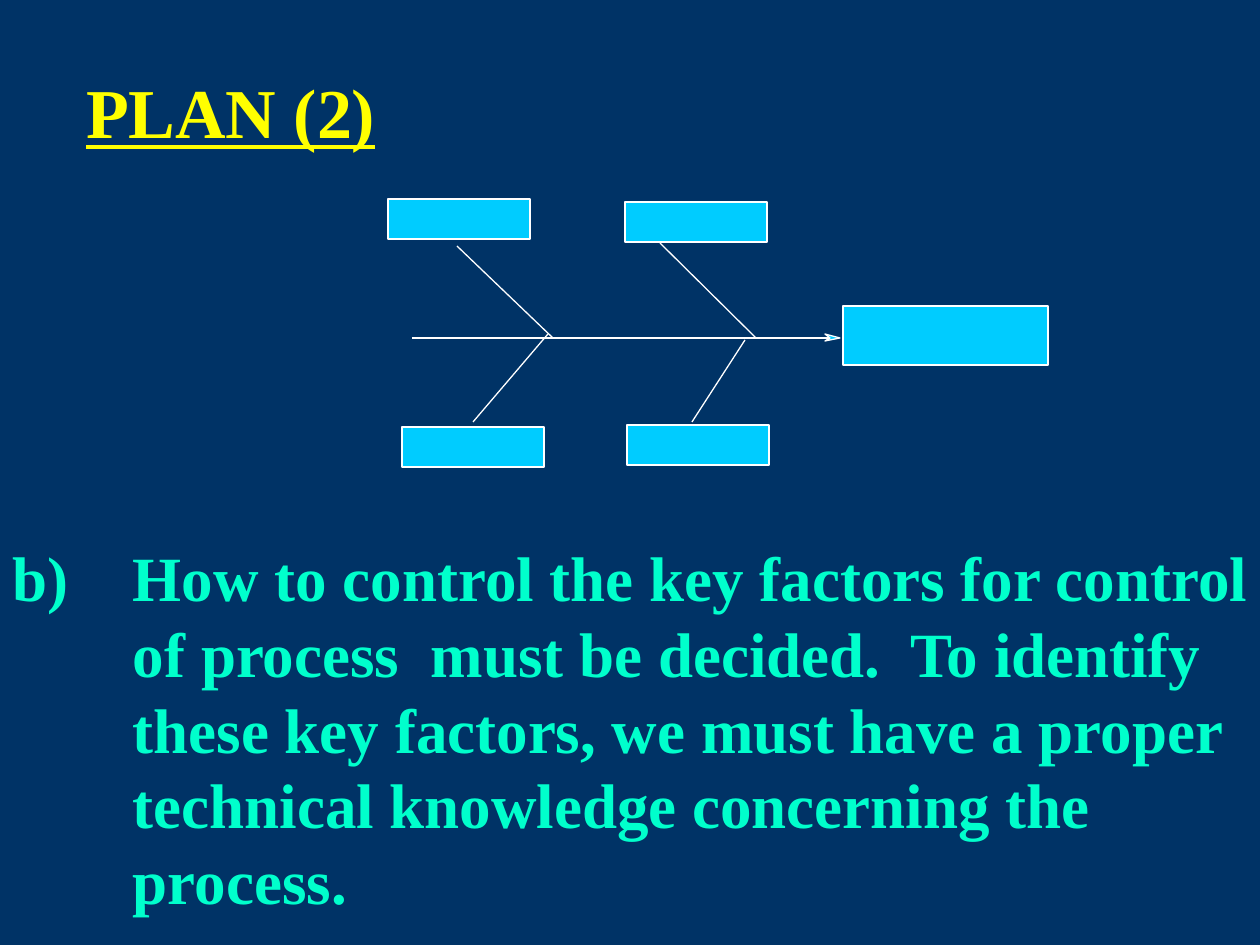
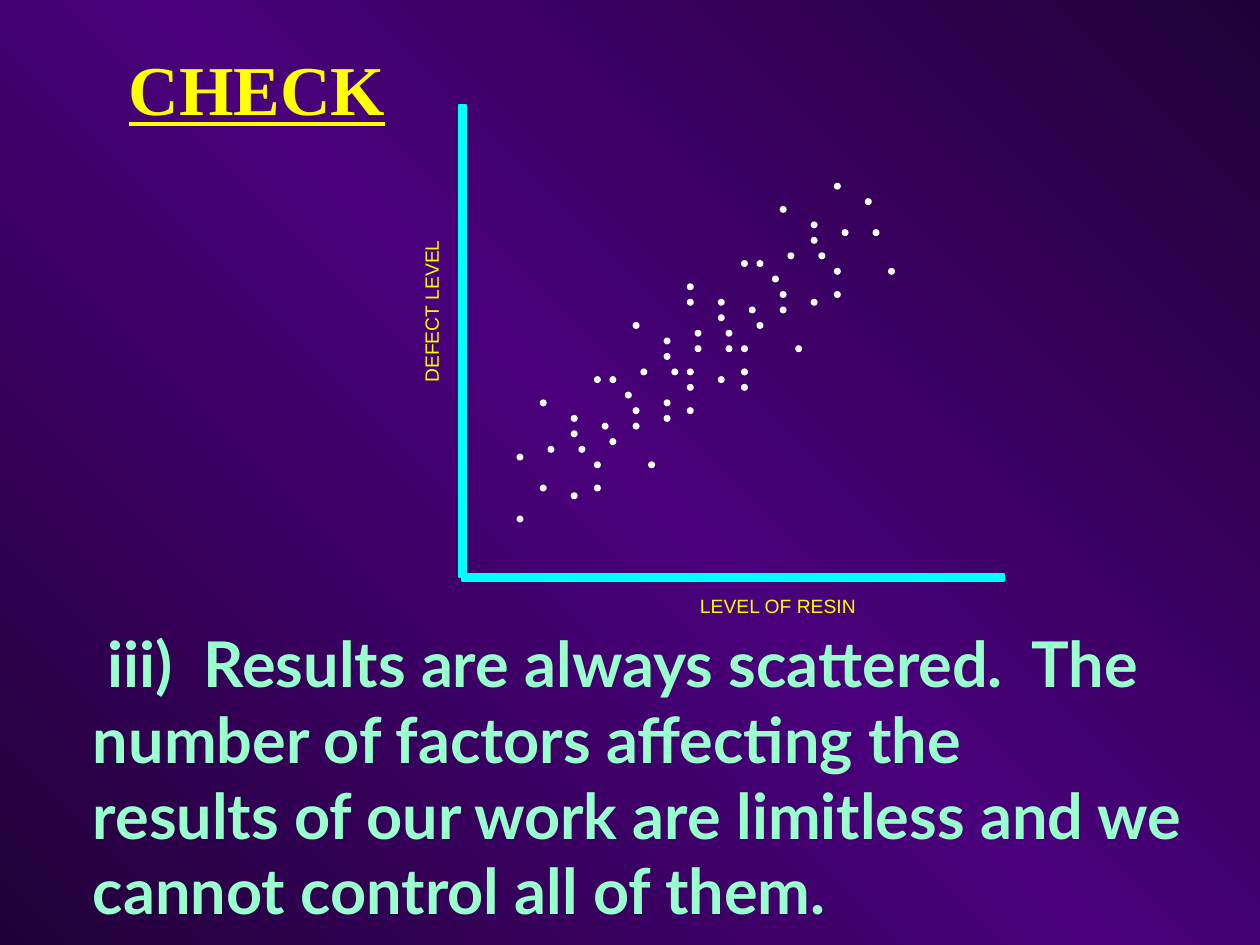
import copy

import pptx
import pptx.dml.color
import pptx.enum.shapes
import pptx.enum.text
import pptx.oxml.ns
import pptx.util
from lxml import etree

PX = 914400 / 126
NAVY, PURPLE, DARK_PURPLE = "003366", "49007A", "210038"
YELLOW, WHITE, SKY, CYAN = "FFFF00", "FFFFFF", "00CCFF", "00FFFF"
SERIF, SANS, LABEL_FONT = "Times New Roman", "Lato", "Arial"
TITLE = dict(font=SERIF, size=40, color=YELLOW, bold=True, underline=True)
AXIS_LABEL = dict(font=LABEL_FONT, size=11, color=YELLOW, wrap=False,
                  insets=(0, 0, 0, 0), align=pptx.enum.text.PP_ALIGN.CENTER)

rgb = pptx.dml.color.RGBColor.from_string
qn = pptx.oxml.ns.qn
preset = pptx.enum.shapes.MSO_SHAPE


def add_text(page, frame, text, *, font, size, color, bold=False, underline=False,
             align=None, wrap=True, insets=(13, 6, 13, 6), margin=0, indent=0, rotation=0):
    """Add a text box; frame is left, top, width, height in px."""
    box = page.shapes.add_textbox(*(round(length * PX) for length in frame))
    box.rotation = rotation
    body = box.text_frame
    body.word_wrap = wrap
    body.margin_left, body.margin_top, body.margin_right, body.margin_bottom = (
        round(inset * PX) for inset in insets)
    para = body.paragraphs[0]
    para.text = text
    para.alignment = align
    properties = para._p.get_or_add_pPr()
    properties.set("marL", str(round(margin * PX)))
    properties.set("indent", str(round(indent * PX)))
    for span in para.runs:
        span.font.name = font
        span.font.size = pptx.util.Pt(size)
        span.font.bold = bold
        span.font.underline = underline
        span.font.color.rgb = rgb(color)


def paint(shape, fill, line, width=0.75):
    shape.shadow.inherit = False
    shape.fill.solid()
    shape.fill.fore_color.rgb = rgb(fill)
    shape.line.color.rgb = rgb(line)
    shape.line.width = pptx.util.Pt(width)


deck = pptx.Presentation()
deck.slide_width = round(1260 * PX)
deck.slide_height = round(945 * PX)
blank = deck.slide_layouts[6]

# Slide 1: fishbone diagram
page = deck.slides.add_slide(blank)
page.background.fill.solid()
page.background.fill.fore_color.rgb = rgb(NAVY)

add_text(page, (0, 533, 1260, 391),
         "b)\tHow to control the key factors for control of process  must be decided.  "
         "To identify these key factors, we must have a proper technical knowledge "
         "concerning the process.",
         font=SERIF, size=36, color="00FFCC", bold=True,
         insets=(13, 6, 0, 6), margin=120, indent=-120)

effect = (843, 306, 205, 59)
causes = [(left, top, 142, 40) for left, top in ((388, 199), (625, 202), (402, 427), (627, 425))]
for frame in [effect, *causes]:
    box = page.shapes.add_shape(preset.RECTANGLE, *(round(length * PX) for length in frame))
    paint(box, SKY, WHITE)

spine = (412, 338, 830, 338)
bones = [(457, 246, 553, 338), (660, 243, 756, 338), (473, 422, 548, 334), (692, 422, 745, 340)]
for ends in [spine, *bones]:
    line = page.shapes.add_connector(pptx.enum.shapes.MSO_CONNECTOR.STRAIGHT,
                                     *(round(length * PX) for length in ends))
    line.line.color.rgb = rgb(WHITE)
    line.line.width = pptx.util.Pt(0.75)
    etree.SubElement(line._element.spPr, qn("a:effectLst"))

outline = page.shapes.build_freeform(825, 341, scale=PX)
outline.add_line_segments([(840, 338), (825, 334), (830, 338)], close=True)
paint(outline.convert_to_shape(), SKY, WHITE)

add_text(page, (73, 63, 473, 97), "PLAN (2)", **TITLE)

# Slide 2: scatter diagram
page = deck.slides.add_slide(blank)
backdrop = page.background.fill
backdrop.gradient()
backdrop.gradient_angle = 225
first_stop = backdrop.gradient_stops[0]._gs
first_stop.addnext(copy.deepcopy(first_stop))
stops = page.background._cSld.findall(".//" + qn("a:gs"))
for stop, position, color in zip(stops, (0, 50000, 100000), (DARK_PURPLE, PURPLE, DARK_PURPLE)):
    stop.set("pos", str(position))
    stop.remove(stop[0])
    etree.SubElement(stop, qn("a:srgbClr"), val=color)

add_text(page, (32, 619, 1197, 391),
         "iii)  Results are always scattered.  The\vnumber of factors affecting the\v"
         "results of our work are limitless and we\vcannot control all of them.",
         font=SANS, size=36, color="99FFCC", bold=True, margin=48, indent=15)
add_text(page, (116, 40, 388, 97), "CHECK", **TITLE)

for frame in ((459, 105, 7, 472), (462, 574, 542, 7)):
    axis = page.shapes.add_shape(preset.RECTANGLE, *(round(length * PX) for length in frame))
    paint(axis, CYAN, CYAN)
add_text(page, (346, 300, 170, 23), "DEFECT LEVEL", rotation=270, **AXIS_LABEL)
add_text(page, (693, 594, 170, 23), "LEVEL OF RESIN", **AXIS_LABEL)

# Grid column of resin level: grid rows of defect level, counted from the lowest dot
defects_by_resin = {
    0: [0, 8], 3: [4, 15], 4: [9], 7: [3, 11, 13], 8: [9], 10: [4, 7, 18],
    11: [12], 12: [10, 18], 14: [16], 15: [12, 14, 25], 16: [19], 17: [7],
    19: [13, 15, 21, 23], 20: [19], 22: [14, 17, 19, 28, 30], 23: [22, 24],
    26: [18, 26, 28], 27: [22, 24], 29: [17, 19, 22, 33], 30: [27], 31: [25, 33],
    33: [31], 34: [27, 29, 40], 35: [34], 36: [22], 38: [28, 36, 38], 39: [34],
    41: [29, 32, 43], 42: [37], 45: [41], 46: [37], 48: [32],
}
GRID, DOT = 7.74, 6
for resin, defects in defects_by_resin.items():
    for defect in defects:
        frame = (517 + GRID * resin, 516 - GRID * defect, DOT, DOT)
        dot = page.shapes.add_shape(preset.OVAL, *(round(length * PX) for length in frame))
        paint(dot, WHITE, WHITE, 0.5)

deck.save("out.pptx")
